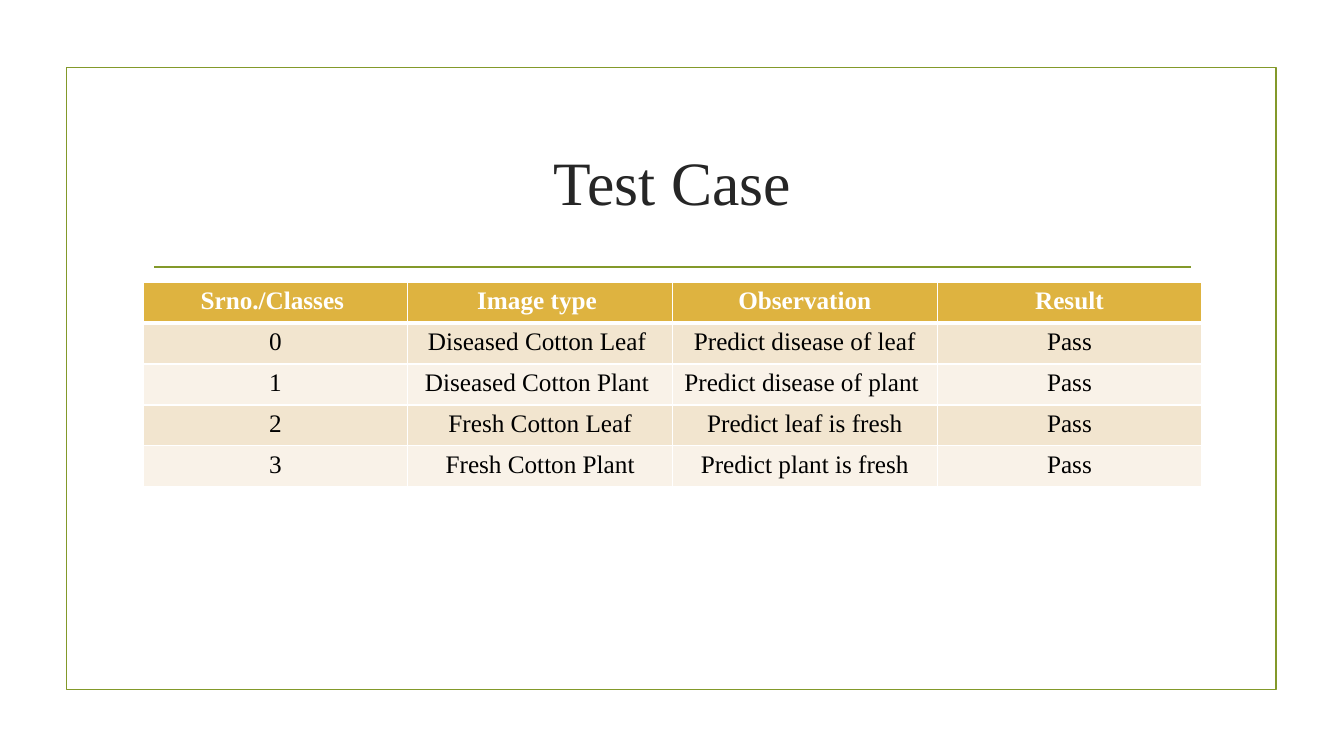
from lxml import etree
from pptx import Presentation
from pptx.dml.color import RGBColor
from pptx.enum import shapes, text
from pptx.oxml import ns
from pptx.util import Inches, Pt

HUES = {"olive": "83992A", "ink": "262626", "black": "000000", "white": "FFFFFF",
        "gold": "DEB340", "sand": "F2E5CF", "cream": "F9F2E8"}
FONT = "Times New Roman"
ROWS = [
    ("Srno./Classes ", "Image type ", "Observation", "Result"),
    ("0", "Diseased Cotton Leaf ", "Predict disease of leaf", "Pass"),
    ("1", "Diseased Cotton Plant ", "Predict disease of plant ", "Pass"),
    ("2", "Fresh Cotton Leaf", "Predict leaf is fresh", "Pass"),
    ("3", "Fresh Cotton Plant", "Predict plant is fresh", "Pass"),
]


def hue(name):
    """Return the named colour."""
    return RGBColor.from_string(HUES[name])


def write(frame, words, size=18, color="black", bold=False):
    """Put one centred line of text in a frame."""
    para = frame.paragraphs[0]
    para.alignment = text.PP_ALIGN.CENTER
    run = para.add_run()
    run.text = words
    run.font.name, run.font.size, run.font.bold = FONT, Pt(size), bold
    run.font.color.rgb = hue(color)


def stroke(item):
    """Give a shape or connector the olive line."""
    item.line.color.rgb = hue("olive")
    item.line.width = Pt(1.25)


def edge(cell, base):
    """Draw white borders around a cell, with the given bottom width."""
    props = cell._tc.get_or_add_tcPr()
    for side, width in (("L", 1), ("R", 1), ("T", 1), ("B", base)):
        line = etree.SubElement(props, ns.qn("a:ln" + side), w=str(Pt(width)))
        fill = etree.SubElement(line, ns.qn("a:solidFill"))
        etree.SubElement(fill, ns.qn("a:srgbClr"), val=HUES["white"])


def frame(slide, box):
    """Draw the outline around the slide's content."""
    rect = slide.shapes.add_shape(shapes.MSO_SHAPE.RECTANGLE, *map(Inches, box))
    rect.shadow.inherit = False
    rect.fill.background()
    stroke(rect)


def head(slide, box):
    """Place the title in its box and the rule beneath it."""
    x, y, w, h = box
    title = slide.shapes.add_textbox(*map(Inches, box)).text_frame
    title.word_wrap = True
    title.vertical_anchor = text.MSO_ANCHOR.MIDDLE
    write(title, "Test Case", size=44, color="ink")
    inset, level = 0.11, y + h + 0.18
    ends = map(Inches, (x + inset, level, x + w - inset, level))
    rule = slide.shapes.add_connector(shapes.MSO_CONNECTOR.STRAIGHT, *ends)
    etree.SubElement(rule._element.spPr, ns.qn("a:effectLst"))
    stroke(rule)


def grid(slide, box):
    """Fill the box with the table of test cases."""
    table = slide.shapes.add_table(len(ROWS), len(ROWS[0]), *map(Inches, box)).table
    for r, row in enumerate(ROWS):
        top = r == 0
        shade = "gold" if top else ("cream", "sand")[r % 2]
        for c, words in enumerate(row):
            cell = table.cell(r, c)
            edge(cell, 3 if top else 1)
            cell.fill.solid()
            cell.fill.fore_color.rgb = hue(shade)
            write(cell.text_frame, words, color="white" if top else "black", bold=top)


def main():
    """Build and save the slide."""
    deck = Presentation()
    deck.slide_width, deck.slide_height = Inches(13.33), Inches(7.5)
    slide = deck.slides.add_slide(deck.slide_layouts[6])
    left, width = 1.42, 10.5
    frame(slide, (0.66, 0.67, 12, 6.17))
    head(slide, (left, 1.12, width, 1.35))
    grid(slide, (left, 2.8, width, 2.03))
    deck.save("out.pptx")


if __name__ == "__main__":
    main()
